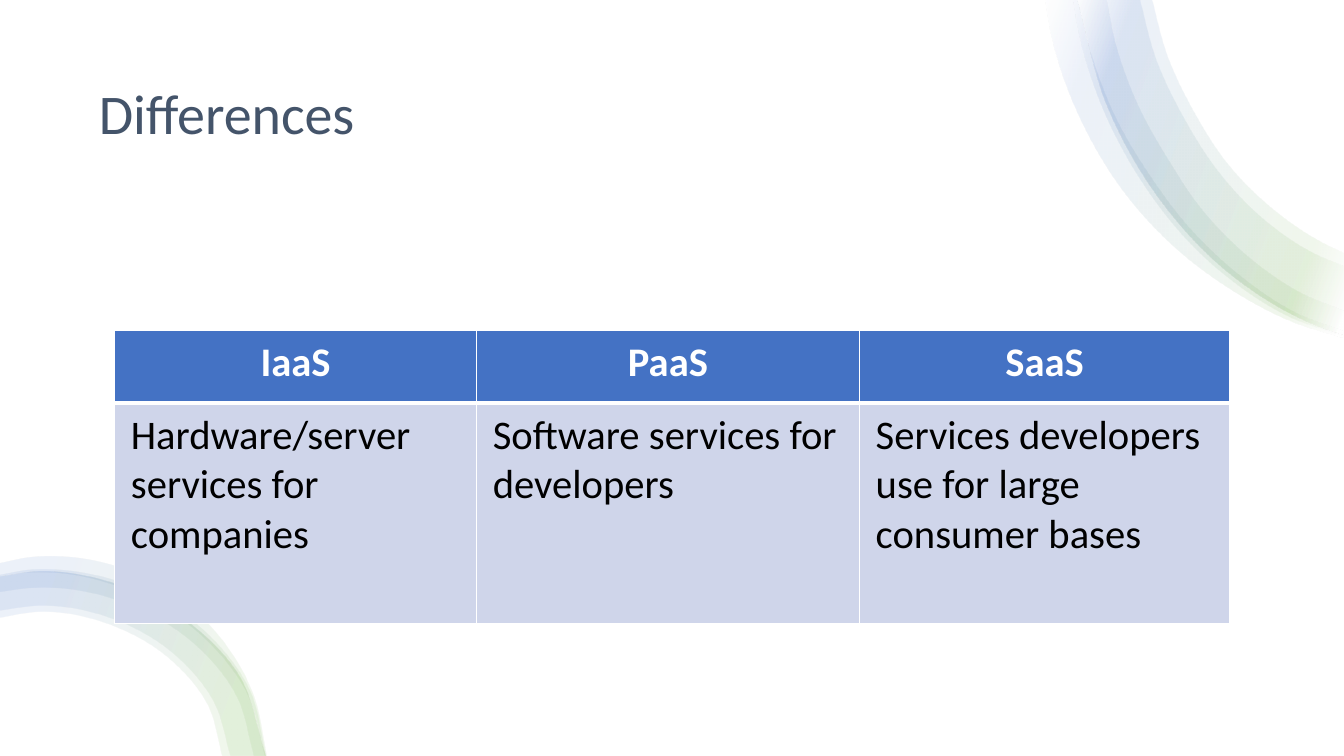
"""Build the "Differences" slide: a service model table framed by two translucent ribbons."""
from math import dist

from lxml import etree
from pptx import Presentation
from pptx.dml.color import RGBColor
from pptx.enum.shapes import MSO_SHAPE
from pptx.enum.text import MSO_ANCHOR, PP_ALIGN
from pptx.oxml.ns import qn
from pptx.util import Cm, Pt

TITLE = "Differences"
SERVICES = [
    ("IaaS", "Hardware/server services for companies"),
    ("PaaS", "Software services for developers"),
    ("SaaS", "Services developers use for large consumer bases"),
]
FONT = "Calibri"
COLORS = {"title": "44546A", "header": "4472C4", "body": "CFD5EA", "white": "FFFFFF",
          "black": "000000", "green": "70AD47", "blue": "4472C4"}
COLUMN_WIDTHS = [9.12, 9.65, 9.34]
ROW_HEIGHTS = [1.83, 5.57]
FADED_STOPS = [(2, "white"), (16, "green"), (85, "blue"), (100, "white")]
PLAIN_STOPS = [(16, "green"), (85, "blue")]
RIBBON_ANGLE = 200
RIBBON_OPACITY = 10
UNIT = Cm(2.54)

TOP_RIM = [(10.69, 0), (10.99, 1.07), (11.52, 2), (12.23, 2.74), (13.09, 3.24), (13.33, 3.32)]
BOTTOM_RIM = [(2.63, 7.5), (2.36, 6.69), (1.85, 6.16), (1.17, 5.8), (0.4, 5.67), (0, 5.72)]
TOP_RIBBONS = [
    ([(10.37, 0), (10.41, 0.26), (10.78, 1.31), (11.16, 1.92), (11.65, 2.45), (12.21, 2.87),
      (12.82, 3.19), (13.33, 3.35)],
     [(10.69, 0), (10.82, 0.52), (11.06, 1.15), (11.4, 1.73), (11.81, 2.27), (12.3, 2.73),
      (12.86, 3.1), (13.33, 3.28)]),
    (TOP_RIM,
     [(11.43, 0), (11.58, 0.55), (11.85, 1.12), (12.19, 1.64), (12.61, 2.06), (13.07, 2.38),
      (13.33, 2.51)]),
    ([(10.65, 0), (10.68, 0.2), (10.99, 1.19), (11.32, 1.79), (11.73, 2.33), (12.23, 2.79),
      (12.79, 3.14), (13.33, 3.33)],
     [(10.98, 0), (11.07, 0.44), (11.29, 1.04), (11.6, 1.6), (11.95, 2.11), (12.39, 2.55),
      (12.9, 2.9), (13.33, 3.08)]),
    (TOP_RIM,
     [(11.31, 0), (11.47, 0.59), (11.75, 1.18), (12.1, 1.72), (12.53, 2.17), (13.01, 2.5),
      (13.33, 2.64)]),
]
BOTTOM_RIBBONS = [
    (BOTTOM_RIM,
     [(2.2, 7.5), (2.06, 7), (1.66, 6.52), (1.07, 6.19), (0.4, 6.07), (0, 6.13)]),
    (BOTTOM_RIM,
     [(2.28, 7.5), (2.12, 6.97), (1.7, 6.47), (1.09, 6.13), (0.4, 6.01), (0, 6.06)]),
    ([(2.63, 7.5), (2.47, 6.85), (2.03, 6.27), (1.42, 5.87), (0.69, 5.67), (0.31, 5.66),
      (0, 5.71)],
     [(2.51, 7.5), (2.34, 6.91), (1.92, 6.39), (1.34, 6.03), (0.67, 5.85), (0.33, 5.84),
      (0, 5.88)]),
    ([(2.64, 7.5), (2.5, 6.87), (2.1, 6.23), (1.48, 5.75), (0.71, 5.53), (0.31, 5.53),
      (0, 5.59)],
     [(2.62, 7.5), (2.45, 6.89), (2, 6.31), (1.39, 5.91), (0.69, 5.7), (0.32, 5.68),
      (0, 5.72)]),
]


def rgb(name):
    return RGBColor.from_string(COLORS[name])


def sub(parent, tag, **attributes):
    return etree.SubElement(parent, qn(tag), {k: str(v) for k, v in attributes.items()})


def tangents(points):
    """Return a unit-speed direction at each point, weighted by the neighbouring chords."""
    chords = [((x2 - x1) / dist((x1, y1), (x2, y2)), (y2 - y1) / dist((x1, y1), (x2, y2)))
              for (x1, y1), (x2, y2) in zip(points, points[1:])]
    lengths = [dist(start, end) for start, end in zip(points, points[1:])]
    inner = [tuple((a * after + b * before) / (before + after) for a, b in zip(left, right))
             for left, right, before, after in zip(chords, chords[1:], lengths, lengths[1:])]
    return [chords[0], *inner, chords[-1]]


def curve_segments(points):
    slopes = tangents(points)
    segments = []
    for start, end, leave, arrive in zip(points, points[1:], slopes, slopes[1:]):
        reach = dist(start, end) / 3
        segments.append([tuple(p + reach * s for p, s in zip(start, leave)),
                         tuple(p - reach * s for p, s in zip(end, arrive)), end])
    return segments


def bend(shape, segments_by_line):
    path = shape._element.spPr.find(".//" + qn("a:path"))
    for line, segment in zip(path.findall(qn("a:lnTo")), segments_by_line):
        if segment:
            curve = etree.Element(qn("a:cubicBezTo"))
            for x, y in segment:
                sub(curve, "a:pt", x=round(x * UNIT) - shape.left, y=round(y * UNIT) - shape.top)
            path.replace(line, curve)


def add_ribbon(slide, outer, inner, color_stops):
    back = inner[::-1]
    points = [(round(x * UNIT), round(y * UNIT)) for x, y in outer + back]
    builder = slide.shapes.build_freeform(*points[0], scale=1.0)
    builder.add_line_segments(points[1:], close=True)
    ribbon = builder.convert_to_shape()
    bend(ribbon, curve_segments(outer) + [None] + curve_segments(back))
    ribbon.shadow.inherit = False
    ribbon.line.fill.background()
    ribbon.fill.gradient()
    gradient = ribbon._element.spPr.find(qn("a:gradFill"))
    for child in list(gradient):
        gradient.remove(child)
    stops = sub(gradient, "a:gsLst")
    for position, color in color_stops:
        stop = sub(stops, "a:gs", pos=position * 1000)
        sub(sub(stop, "a:srgbClr", val=COLORS[color]), "a:alpha", val=RIBBON_OPACITY * 1000)
    sub(gradient, "a:lin", ang=RIBBON_ANGLE * 60000, scaled=0)


def write(frame, text, size, color, bold=False, align=PP_ALIGN.LEFT):
    paragraph = frame.paragraphs[0]
    paragraph.alignment = align
    run = paragraph.add_run()
    run.text = text
    run.font.name, run.font.size, run.font.bold = FONT, Pt(size), bold
    run.font.color.rgb = rgb(color)
    return paragraph


def set_borders(cell, widths):
    properties = cell._tc.get_or_add_tcPr()
    for index, (side, width) in enumerate(zip("LRTB", widths)):
        line = sub(properties, f"a:ln{side}", w=Pt(width))
        sub(sub(line, "a:solidFill"), "a:srgbClr", val=COLORS["white"])
        properties.insert(index, line)


def add_service_table(slide):
    frame = slide.shapes.add_table(2, len(SERVICES), Cm(2.89), Cm(8.32),
                                   Cm(sum(COLUMN_WIDTHS)), Cm(sum(ROW_HEIGHTS)))
    table = frame.table
    for row, height in zip(table.rows, ROW_HEIGHTS):
        row.height = Cm(height)
    for column, (width, texts) in enumerate(zip(COLUMN_WIDTHS, SERVICES)):
        table.columns[column].width = Cm(width)
        for row, text in enumerate(texts):
            header = row == 0
            cell = table.cell(row, column)
            cell.margin_left = cell.margin_right = Cm(0.41)
            cell.margin_top = cell.margin_bottom = Cm(0.2)
            cell.fill.solid()
            cell.fill.fore_color.rgb = rgb("header" if header else "body")
            set_borders(cell, (1, 1, 1, 3) if header else (1, 1, 3, 1))
            write(cell.text_frame, text, 29, "white" if header else "black", header,
                  PP_ALIGN.CENTER if header else PP_ALIGN.LEFT)


def add_backdrop(slide, width, height):
    backdrop = slide.shapes.add_shape(MSO_SHAPE.RECTANGLE, 0, 0, width, height)
    backdrop.shadow.inherit = False
    backdrop.fill.solid()
    backdrop.fill.fore_color.rgb = rgb("white")
    backdrop.line.fill.background()


def add_title(slide):
    frame = slide.shapes.add_textbox(Cm(2.24), Cm(1.29), Cm(29.39), Cm(3.3)).text_frame
    frame.word_wrap = True
    frame.vertical_anchor = MSO_ANCHOR.MIDDLE
    write(frame, TITLE, 40, "title").line_spacing = 0.9


presentation = Presentation()
presentation.slide_width, presentation.slide_height = Cm(33.87), Cm(19.05)
slide = presentation.slides.add_slide(presentation.slide_layouts[6])
add_backdrop(slide, presentation.slide_width, presentation.slide_height)
add_title(slide)
for ribbons, color_stops in ((TOP_RIBBONS, FADED_STOPS), (BOTTOM_RIBBONS, PLAIN_STOPS)):
    for outer, inner in ribbons:
        add_ribbon(slide, outer, inner, color_stops)
add_service_table(slide)
presentation.save("out.pptx")
